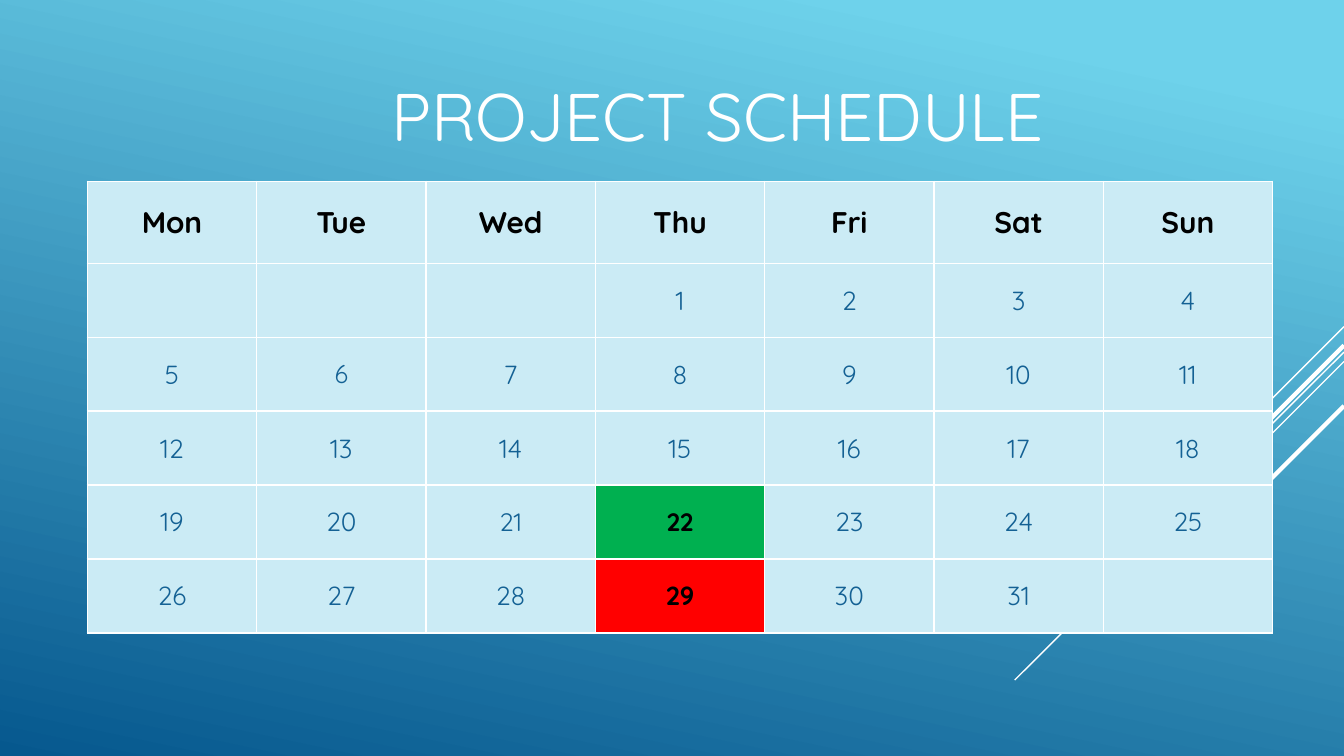
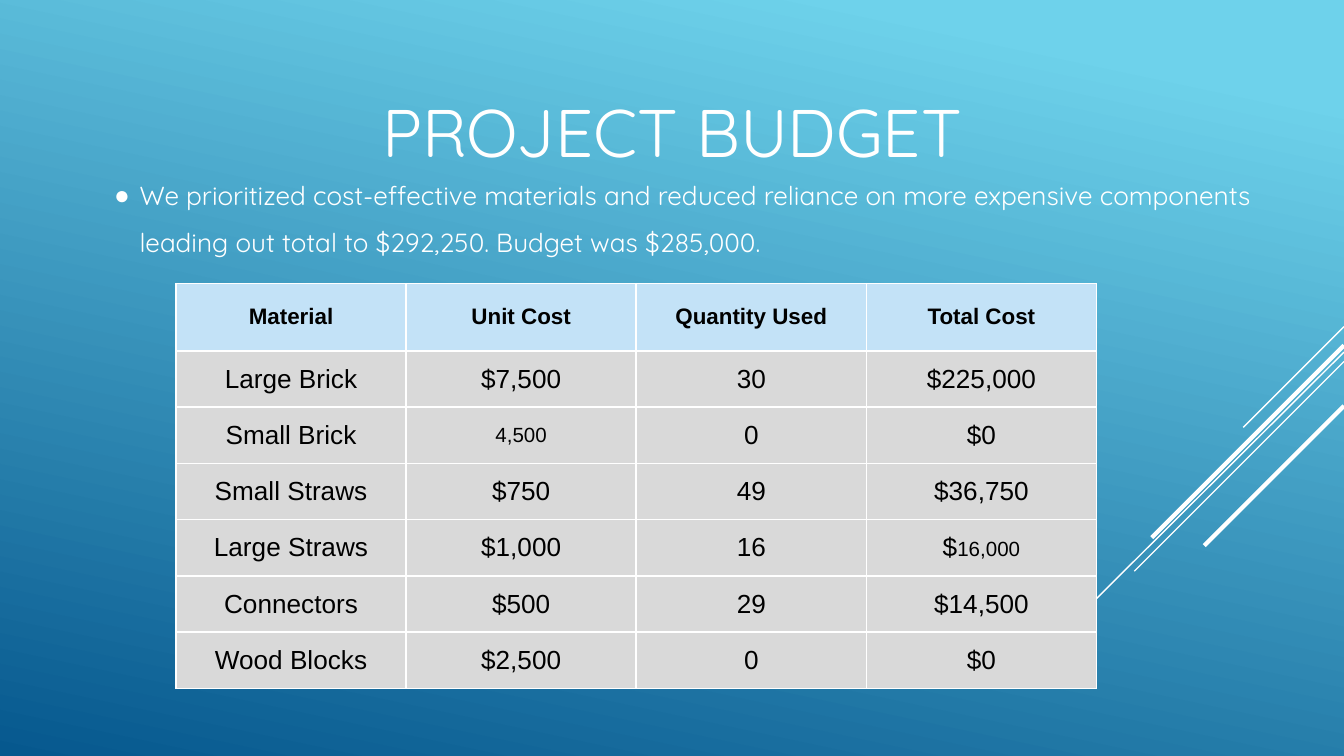
"""Build the project schedule and project budget slides."""
import dataclasses
import typing

import lxml.etree
import pptx
import pptx.dml.color
import pptx.enum.shapes
import pptx.enum.text
import pptx.oxml.ns
import pptx.util

Inches = pptx.util.Inches
Pt = pptx.util.Pt
qn = pptx.oxml.ns.qn
CENTER = pptx.enum.text.PP_ALIGN.CENTER
MIDDLE = pptx.enum.text.MSO_ANCHOR.MIDDLE
TOP = pptx.enum.text.MSO_ANCHOR.TOP
WIDTH = Inches(10)
HEIGHT = WIDTH * 9 // 16

COLORS = {
    "white": "FFFFFF", "black": "000000", "sky": "6ED2EB", "deep": "06588E",
    "ice": "CBEBF5", "navy": "146194", "green": "00B050", "red": "FF0000",
    "pale": "C3E2F7", "gray": "D9D9D9",
}
INSETS = {f"margin_{side}": Inches(0.1) for side in ("left", "right", "top", "bottom")}
TITLE = {"name": "Quicksand", "size": 36, "bold": False, "color": "white"}
BODY = {**TITLE, "size": 14}

Format = dict[str, typing.Any]
Entry = str | tuple[str, ...]


class Box(typing.NamedTuple):
    left: float
    top: float
    width: float
    height: float

    def place(self) -> list[int]:
        return [Inches(side) for side in self]


class Ray(typing.NamedTuple):
    top: float
    left: float
    bottom: float
    weight: float


RAYS = [
    Ray(2.43, 9.25, 3.18, 0.75),
    Ray(2.62, 7.55, 5.06, 0.75),
    Ray(2.69, 8.44, 4.25, 0.75),
    Ray(2.57, 8.57, 4.0, 2.25),
    Ray(3.02, 8.96, 4.06, 2.25),
]


@dataclasses.dataclass
class Grid:
    box: Box
    rows: list[list[Entry]]
    first: float
    rest: float
    head: Format
    cell: Format
    fills: tuple[str, str]
    fonts: dict[str, Format]
    marks: dict[str, str]


def tint(name: str) -> pptx.dml.color.RGBColor:
    return pptx.dml.color.RGBColor.from_string(COLORS[name])


def apply(target: typing.Any, values: Format) -> None:
    for name, value in values.items():
        setattr(target, name, value)


def write(para: typing.Any, text: str, style: Format) -> None:
    run = para.add_run()
    run.text = text
    values = {**style, "size": Pt(style["size"])}
    color = values.pop("color")
    apply(run.font, values)
    run.font.color.rgb = tint(color)


def paint(master: typing.Any) -> None:
    fill = master.background.fill
    fill.gradient()
    fill.gradient_angle = 258
    for stop, spot, name in zip(fill.gradient_stops, (0.1, 1.0), ("sky", "deep")):
        stop.position = spot
        stop.color.rgb = tint(name)


def draw_ray(slide: typing.Any, ray: Ray) -> None:
    line = slide.shapes.add_connector(
        pptx.enum.shapes.MSO_CONNECTOR.STRAIGHT,
        WIDTH, Inches(ray.top), Inches(ray.left), Inches(ray.bottom))
    line.line.color.rgb = tint("white")
    line.line.width = Pt(ray.weight)
    lxml.etree.SubElement(line._element.spPr, qn("a:effectLst"))


def add_slide(deck: typing.Any, title: str, box: Box) -> typing.Any:
    slide = deck.slides.add_slide(deck.slide_layouts[5])
    for ray in RAYS:
        draw_ray(slide, ray)
    shape = slide.shapes.title
    apply(shape, dict(zip(("left", "top", "width", "height"), box.place())))
    frame = shape.text_frame
    apply(frame, {**INSETS, "vertical_anchor": TOP, "word_wrap": True,
                  "auto_size": pptx.enum.text.MSO_AUTO_SIZE.NONE})
    para = frame.paragraphs[0]
    para.alignment = CENTER
    write(para, title, TITLE)
    return slide


def edge(cell: typing.Any) -> None:
    props = cell._tc.get_or_add_tcPr()
    for side in ("lnL", "lnR", "lnT", "lnB"):
        line = lxml.etree.SubElement(props, qn(f"a:{side}"), w=str(Pt(1)))
        fill = lxml.etree.SubElement(line, qn("a:solidFill"))
        lxml.etree.SubElement(fill, qn("a:srgbClr"), val=COLORS["white"])


def fill_cell(cell: typing.Any, entry: Entry, grid: Grid, head: bool) -> None:
    parts = (entry,) if isinstance(entry, str) else entry
    edge(cell)
    cell.fill.solid()
    base = grid.fills[0 if head else 1]
    cell.fill.fore_color.rgb = tint(grid.marks.get(parts[0], base))
    apply(cell, {**INSETS, "vertical_anchor": MIDDLE})
    para = cell.text_frame.paragraphs[0]
    para.alignment = CENTER
    style = grid.head if head else grid.cell
    for part in filter(None, parts):
        write(para, part, {**style, **grid.fonts.get(part, {})})


def draw_grid(slide: typing.Any, grid: Grid) -> None:
    count = len(grid.rows[0])
    table = slide.shapes.add_table(len(grid.rows), count, *grid.box.place()).table
    apply(table, {"first_row": False, "horz_banding": False})
    for col in table.columns:
        col.width = Inches(grid.box.width / count)
    for r, row in enumerate(grid.rows):
        table.rows[r].height = Inches(grid.rest if r else grid.first)
        for c, entry in enumerate(row):
            fill_cell(table.cell(r, c), entry, grid, r == 0)


def draw_note(slide: typing.Any, text: str, box: Box) -> None:
    frame = slide.shapes.add_textbox(*box.place()).text_frame
    apply(frame, {"word_wrap": True,
                  "auto_size": pptx.enum.text.MSO_AUTO_SIZE.SHAPE_TO_FIT_TEXT})
    para = frame.paragraphs[0]
    props = para._p.get_or_add_pPr()
    props.set("marL", str(Inches(0.19)))
    props.set("indent", str(-Inches(0.19)))
    color = lxml.etree.SubElement(props, qn("a:buClr"))
    lxml.etree.SubElement(color, qn("a:srgbClr"), val=COLORS["white"])
    lxml.etree.SubElement(props, qn("a:buFont"), typeface="Arial")
    lxml.etree.SubElement(props, qn("a:buChar"), char="●")
    para.line_spacing = 1.5
    write(para, text, BODY)


def dates() -> list[list[Entry]]:
    days = [""] * 3 + [str(day) for day in range(1, 32)] + [""]
    return [days[i:i + 7] for i in range(0, len(days), 7)]


def main() -> None:
    deck = pptx.Presentation()
    apply(deck, {"slide_width": WIDTH, "slide_height": HEIGHT})
    paint(deck.slide_master)

    slide = add_slide(deck, "PROJECT SCHEDULE", Box(1.84, 0.45, 7, 1.24))
    bold = {"bold": True, "color": "black"}
    draw_grid(slide, Grid(
        box=Box(0.65, 1.35, 8.82, 3.35),
        rows=[["Mon", "Tue", "Wed", "Thu", "Fri", "Sat", "Sun"], *dates()],
        first=0.61, rest=0.55,
        head={**BODY, **bold, "size": 16},
        cell={**BODY, "color": "navy"},
        fills=("ice", "ice"),
        fonts={"6": {"size": 13.5}, "21": {"size": 13.5},
               "22": {**bold, "size": 13.5}, "29": bold},
        marks={"22": "green", "29": "red"}))

    slide = add_slide(deck, "PROJECT BUDGET", Box(1.5, 0.57, 7, 0.77))
    plain = {"name": "Arial", "size": 14, "bold": False, "color": "black"}
    draw_grid(slide, Grid(
        box=Box(1.31, 2.11, 6.85, 3.1),
        rows=[
            ["Material", "Unit Cost", "Quantity Used", "Total Cost"],
            ["Large Brick", "$7,500", "30", "$225,000"],
            ["Small Brick", "4,500", "0", "$0"],
            ["Small Straws", "$750", "49", "$36,750"],
            ["Large Straws", "$1,000", "16", ("$", "16,000")],
            ["Connectors", "$500", "29", "$14,500"],
            ["Wood Blocks", "$2,500", "0", "$0"],
        ],
        first=0.5, rest=0.4,
        head={**plain, "size": 12, "bold": True},
        cell=plain,
        fills=("pale", "gray"),
        fonts={"4,500": {"size": 11}, "16,000": {"size": 11}},
        marks={}))
    draw_note(slide, "We prioritized cost-effective materials and reduced reliance on "
              "more expensive components leading out total to $292,250. "
              "Budget was $285,000.", Box(0.75, 1.17, 8.81, 0.77))
    deck.save("out.pptx")


if __name__ == "__main__":
    main()
